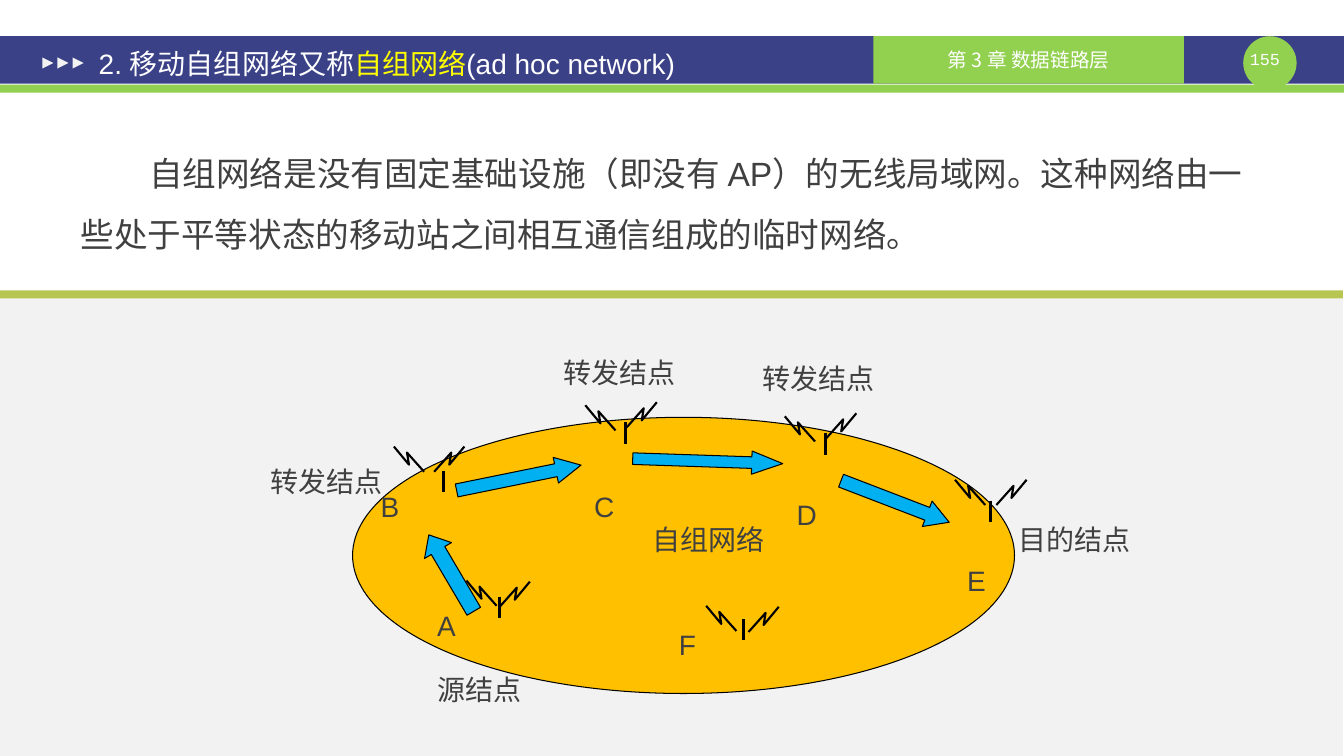
from lxml import etree
from pptx import Presentation
from pptx.dml.color import RGBColor
from pptx.enum.shapes import MSO_CONNECTOR, MSO_SHAPE
from pptx.enum.text import MSO_ANCHOR, MSO_AUTO_SIZE, PP_ALIGN
from pptx.oxml.ns import qn
from pptx.util import Pt

PX = 9144
RECTANGLE, OVAL = MSO_SHAPE.RECTANGLE, MSO_SHAPE.OVAL
TRIANGLE, ARROW = MSO_SHAPE.ISOSCELES_TRIANGLE, MSO_SHAPE.RIGHT_ARROW
STRAIGHT = MSO_CONNECTOR.STRAIGHT
LEFT, CENTER = PP_ALIGN.LEFT, PP_ALIGN.CENTER
MIDDLE = MSO_ANCHOR.MIDDLE
NO_AUTOFIT = MSO_AUTO_SIZE.NONE

NAVY, GREEN, OLIVE, PALE = "3A4187", "92D050", "A6B727", "F2F2F2"
WHITE, YELLOW, BLACK, GRAY = "FFFFFF", "FFFF00", "000000", "404040"
AMBER, BLUE = "FFC000", "00B0F0"
CJK = "Noto Sans CJK SC"

ZIGZAG = [(17, -19), (15, -7), (30, -25)]

ANTENNAS = [
    ((440, 171), (421, 172), (431, 172)),
    ((621, 123), (611, 131), (622, 128)),
    ((819, 134), (809, 142), (820, 139)),
    ((983, 201), (978, 205), (989, 205)),
    ((496, 296), (493, 305), (496, 306)),
    ((738, 318), (731, 330), (743, 331)),
]
LABELS = [
    ("自组网络", 638, 217, 131),
    ("A", 424, 303, 40),
    ("B", 368, 185, 39),
    ("C", 580, 185, 40),
    ("D", 781, 193, 42),
    ("E", 950, 258, 39),
    ("F", 664, 322, 37),
    ("源结点", 424, 366, 104),
    ("目的结点", 1001, 217, 132),
    ("转发结点", 259, 160, 132),
    ("转发结点", 549, 52, 132),
    ("转发结点", 747, 58, 131),
]
ARROWS = [
    (628, 150, 149, 23, 1.9, 1.34),
    (831, 188, 115, 27, 21, 0.865),
    (452, 165, 126, 26, 348.5, 0.98),
    (404, 257, 88, 31, 239.5, 0.581),
]


def color(value):
    return RGBColor.from_string(value)


def emu(*lengths):
    return [length * PX for length in lengths]


def add_figure(slide, kind, left, top, width, height, fill, outlined=False):
    shape = slide.shapes.add_shape(kind, *emu(left, top, width, height))
    shape.shadow.inherit = False
    shape.fill.solid()
    shape.fill.fore_color.rgb = color(fill)
    if outlined:
        shape.line.color.rgb = color(BLACK)
        shape.line.width = Pt(0.75)
    else:
        shape.line.fill.background()
    return shape


def format_paragraph(paragraph, size, font_name, text_color, align=LEFT):
    paragraph.alignment = align
    paragraph.font.size = Pt(size)
    paragraph.font.name = font_name
    paragraph.font.color.rgb = color(text_color)


def set_margins(frame, horizontal, vertical):
    frame.margin_left = frame.margin_right = horizontal * PX
    frame.margin_top = frame.margin_bottom = vertical * PX


def add_text(slide, text, box, size, font_name, text_color, align=LEFT,
             margins=(10, 5), wrap=False):
    frame = slide.shapes.add_textbox(*emu(*box)).text_frame
    frame.word_wrap = wrap
    set_margins(frame, *margins)
    paragraph = frame.paragraphs[0]
    paragraph.text = text
    format_paragraph(paragraph, size, font_name, text_color, align)
    return paragraph


def add_header(slide, left, top, width):
    add_figure(slide, RECTANGLE, left, top, width, 47, NAVY)
    add_figure(slide, RECTANGLE, left, top + 48, width, 8, GREEN)
    add_figure(slide, OVAL, left + 1234, top, 53, 53, GREEN)
    add_text(slide, "155", (left + 1229, top + 12, 53, 20), 12,
             "Courier New", WHITE, CENTER, (0, 0), True)

    chapter = add_figure(slide, RECTANGLE, left + 867, top, 308, 47, GREEN)
    chapter.text_frame.vertical_anchor = MIDDLE
    paragraph = chapter.text_frame.paragraphs[0]
    paragraph.text = "第 3 章 数据链路层"
    format_paragraph(paragraph, 14, CJK, WHITE, CENTER)

    for index in range(3):
        marker = add_figure(slide, TRIANGLE, left + 42 + 15 * index, top + 21,
                            11, 11, PALE)
        marker.rotation = 90

    title = slide.shapes.title
    title.element.getparent().append(title.element)
    title.left, title.top, title.width, title.height = emu(
        left + 85, top + 3, 779, 47)
    frame = title.text_frame
    frame.auto_size = NO_AUTOFIT
    frame.word_wrap = True
    frame.vertical_anchor = MIDDLE
    set_margins(frame, 13, 7)
    paragraph = frame.paragraphs[0]
    format_paragraph(paragraph, 20, "Arial", WHITE)
    for text, text_color in [("2. 移动自组网络又称", WHITE),
                             ("自组网络", YELLOW),
                             ("(ad hoc network)", WHITE)]:
        run = paragraph.add_run()
        run.text = text
        run.font.color.rgb = color(text_color)


def add_definition(slide, left, top, width, height):
    paragraph = add_text(
        slide,
        "自组网络是没有固定基础设施（即没有 AP）的无线局域网。"
        "这种网络由一些处于平等状态的移动站之间相互通信组成的临时网络。",
        (left, top, width, height), 24, "Arial", GRAY,
        margins=(13, 7), wrap=True)
    paragraph.line_spacing = 1.5
    paragraph._p.get_or_add_pPr().set("indent", str(68 * PX))


def add_wave(slide, x, y, direction):
    builder = slide.shapes.build_freeform(x, y, scale=PX)
    builder.add_line_segments(
        [(x + direction * dx, y + dy) for dx, dy in ZIGZAG], close=False)
    wave = builder.convert_to_shape()
    wave.shadow.inherit = False
    wave.fill.background()
    wave.line.color.rgb = color(BLACK)
    wave.line.width = Pt(1.5)


def add_antenna(slide, left, top, mast, left_wave, right_wave):
    for (x, y), direction in [(left_wave, -1), (right_wave, 1)]:
        add_wave(slide, left + x, top + y, direction)
    x, y = left + mast[0], top + mast[1]
    line = slide.shapes.add_connector(STRAIGHT, *emu(x, y, x, y + 21))
    line.line.color.rgb = color(BLACK)
    line.line.width = Pt(2.25)
    etree.SubElement(line.element.spPr, qn("a:effectLst"))


def add_network(slide, left, top, width, height):
    add_figure(slide, RECTANGLE, left, top, width, height, PALE)
    add_figure(slide, OVAL, left + 350, top + 118, 657, 274, AMBER, True)
    for antenna in ANTENNAS:
        add_antenna(slide, left, top, *antenna)
    for x, y, length, thickness, rotation, head in ARROWS:
        arrow = add_figure(slide, ARROW, left + x, top + y, length, thickness,
                           BLUE, True)
        arrow.rotation = rotation
        arrow.adjustments[1] = head
    for text, x, y, label_width in LABELS:
        add_text(slide, text, (left + x, top + y, label_width, 44), 20,
                 "Arial", GRAY)
    rule = add_figure(slide, RECTANGLE, left, top - 8, width, 8, OLIVE)
    rule_color = rule.element.spPr.find(qn("a:solidFill"))[0]
    etree.SubElement(rule_color, qn("a:alpha")).set("val", "80000")


def main():
    presentation = Presentation()
    presentation.slide_width, presentation.slide_height = emu(1334, 750)
    slide = presentation.slides.add_slide(presentation.slide_layouts[5])
    add_header(slide, 0, 36, 1334)
    add_definition(slide, 67, 125, 1201, 155)
    add_network(slide, 0, 296, 1333, 454)
    presentation.save("out.pptx")


if __name__ == "__main__":
    main()
